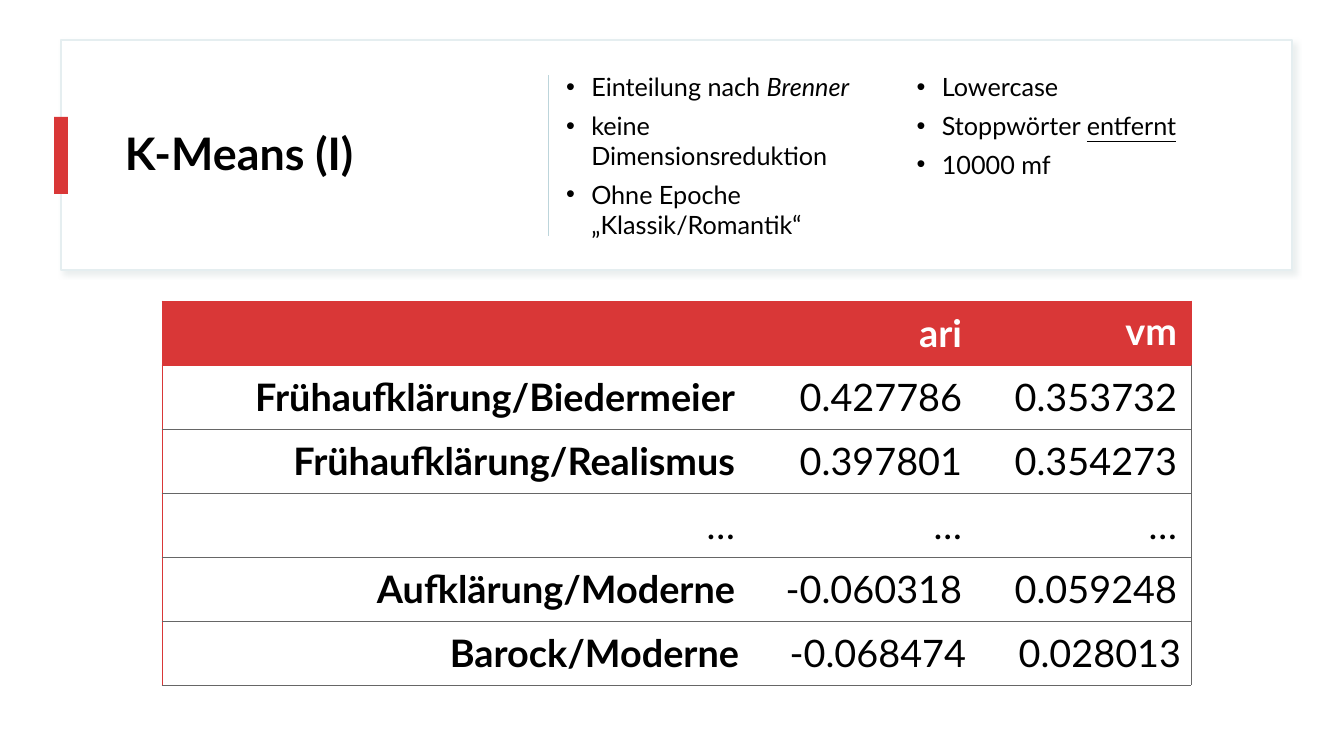
import dataclasses
import typing

import lxml.etree
import pptx
import pptx.dml.color
import pptx.enum.shapes
import pptx.enum.text
import pptx.oxml.ns
import pptx.util

RGBColor = pptx.dml.color.RGBColor
RED = RGBColor(0xD9, 0x37, 0x37)
WHITE = RGBColor(0xFF, 0xFF, 0xFF)
BLACK = RGBColor(0, 0, 0)
PALE = RGBColor(0xE5, 0xEE, 0xF0)
TEAL = RGBColor(0xBD, 0xD5, 0xDB)
SHADE = RGBColor(0xBC, 0xCA, 0xCA)
GREY = RGBColor(0x66, 0x66, 0x66)
FONT = "Lato"
SCALE = 914400 / 100.8


@dataclasses.dataclass
class Box:
    x: int
    y: int
    w: int
    h: int
    fill: RGBColor = WHITE

    def place(self) -> list[int]:
        return [px(n) for n in (self.x, self.y, self.w, self.h)]


@dataclasses.dataclass
class Point:
    text: str
    tail: str = ""
    slant: bool = False
    under: bool = False


CARD = Box(61, 40, 1231, 230)
ACCENT = Box(54, 117, 14, 77, RED)
RULE = Box(548, 75, 1, 161, TEAL)
TITLE = Box(115, 65, 390, 181)
NOTES = Box(531, 65, 721, 181)
GRID = Box(162, 301, 1029, 384)
COLS = (587, 227, 215)
POINTS = (
    Point("Einteilung nach ", "Brenner", slant=True),
    Point("keine Dimensionsreduktion"),
    Point("Ohne Epoche „Klassik/Romantik“"),
    Point("Lowercase"),
    Point("Stoppwörter ", "entfernt", under=True),
    Point("10000 mf"),
)
ROWS = (
    ("", "ari", "vm"),
    ("Frühaufklärung/Biedermeier", "0.427786", "0.353732"),
    ("Frühaufklärung/Realismus", "0.397801", "0.354273"),
    ("…", "…", "…"),
    ("Aufklärung/Moderne", "-0.060318", "0.059248"),
    ("Barock/Moderne", "-0.068474", "0.028013"),
)


def px(n: int) -> int:
    return round(n * SCALE)


def add(root: typing.Any, tag: str, **attrs: object) -> typing.Any:
    name = pptx.oxml.ns.qn(tag)
    return lxml.etree.SubElement(root, name, {k: str(v) for k, v in attrs.items()})


def style(font: typing.Any, size: int, color: RGBColor, bold: bool = False) -> None:
    font.name = FONT
    font.size = pptx.util.Pt(size)
    font.color.rgb = color
    font.bold = bold


def draw_box(slide: typing.Any, box: Box) -> typing.Any:
    kind = pptx.enum.shapes.MSO_SHAPE.RECTANGLE
    shape = slide.shapes.add_shape(kind, *box.place())
    shape.shadow.inherit = False
    shape.fill.solid()
    shape.fill.fore_color.rgb = box.fill
    shape.line.fill.background()
    return shape


def draw_card(slide: typing.Any) -> None:
    card = draw_box(slide, CARD)
    card.line.color.rgb = PALE
    card.line.width = pptx.util.Pt(1)
    glow = card._element.spPr.find(pptx.oxml.ns.qn("a:effectLst"))
    cast = add(glow, "a:outerShdw", blurRad=50800, dist=38100, dir=2700000,
               algn="tl", rotWithShape=0)
    add(add(cast, "a:srgbClr", val=SHADE), "a:alpha", val=30000)


def text_frame(slide: typing.Any, box: Box) -> typing.Any:
    frame = slide.shapes.add_textbox(*box.place()).text_frame
    frame.word_wrap = True
    frame.vertical_anchor = pptx.enum.text.MSO_ANCHOR.MIDDLE
    return frame


def draw_title(slide: typing.Any) -> None:
    frame = text_frame(slide, TITLE)
    frame.text = "K-Means (I)"
    line = frame.paragraphs[0]
    line.line_spacing = 0.9
    style(line.runs[0].font, 32, BLACK, True)


def draw_notes(slide: typing.Any) -> None:
    frame = text_frame(slide, NOTES)
    frame._txBody.bodyPr.set("numCol", "2")
    frame.text = "\n".join(point.text for point in POINTS)
    for line, point in zip(frame.paragraphs, POINTS):
        line.space_after = pptx.util.Pt(6)
        props = line._p.get_or_add_pPr()
        props.set("marL", str(pptx.util.Inches(0.5)))
        props.set("indent", str(-pptx.util.Inches(0.25)))
        add(props, "a:buFont", typeface="Arial")
        add(props, "a:buChar", char="•")
        if point.tail:
            run = line.add_run()
            run.text = point.tail
            run.font.italic = point.slant
            run.font.underline = point.under
        for run in line.runs:
            style(run.font, 18, BLACK)


def edge(cell: typing.Any, side: str, color: RGBColor | None) -> None:
    line = add(cell._tc.get_or_add_tcPr(), f"a:ln{side}", w=6350)
    if color is None:
        add(line, "a:noFill")
    else:
        add(add(line, "a:solidFill"), "a:srgbClr", val=color)


def draw_cell(cell: typing.Any, row: int, col: int) -> None:
    head, last = row == 0, row == len(ROWS) - 1
    end = RED if head else GREY
    edge(cell, "L", RED if col == 0 else None)
    edge(cell, "R", end if col == len(COLS) - 1 else None)
    edge(cell, "T", RED if row < 2 else GREY)
    edge(cell, "B", end)
    cell.fill.solid()
    cell.fill.fore_color.rgb = RED if head else WHITE
    cell.margin_left = cell.margin_right = px(10 if last else 14)
    cell.margin_top = cell.margin_bottom = px(5 if last else 7)
    anchor = pptx.enum.text.MSO_ANCHOR
    cell.vertical_anchor = anchor.TOP if head and col == 2 else anchor.MIDDLE
    cell.text_frame.text = ROWS[row][col]
    line = cell.text_frame.paragraphs[0]
    line.alignment = pptx.enum.text.PP_ALIGN.RIGHT
    bold = head or (col == 0 and ROWS[row][col] != "…")
    for run in line.runs:
        style(run.font, 27, WHITE if head else BLACK, bold)


def draw_grid(slide: typing.Any) -> None:
    frame = slide.shapes.add_table(len(ROWS), len(COLS), *GRID.place())
    table = frame.table
    table.horz_banding = False
    for col, width in zip(table.columns, COLS):
        col.width = px(width)
    for row, line in enumerate(table.rows):
        line.height = px(GRID.h // len(ROWS))
        for col, cell in enumerate(line.cells):
            draw_cell(cell, row, col)


def main() -> None:
    deck = pptx.Presentation()
    deck.slide_width, deck.slide_height = px(1344), px(756)
    slide = deck.slides.add_slide(deck.slide_layouts[6])
    draw_card(slide)
    draw_title(slide)
    for box in (ACCENT, RULE):
        draw_box(slide, box)
    draw_notes(slide)
    draw_grid(slide)
    deck.save("out.pptx")


if __name__ == "__main__":
    main()
